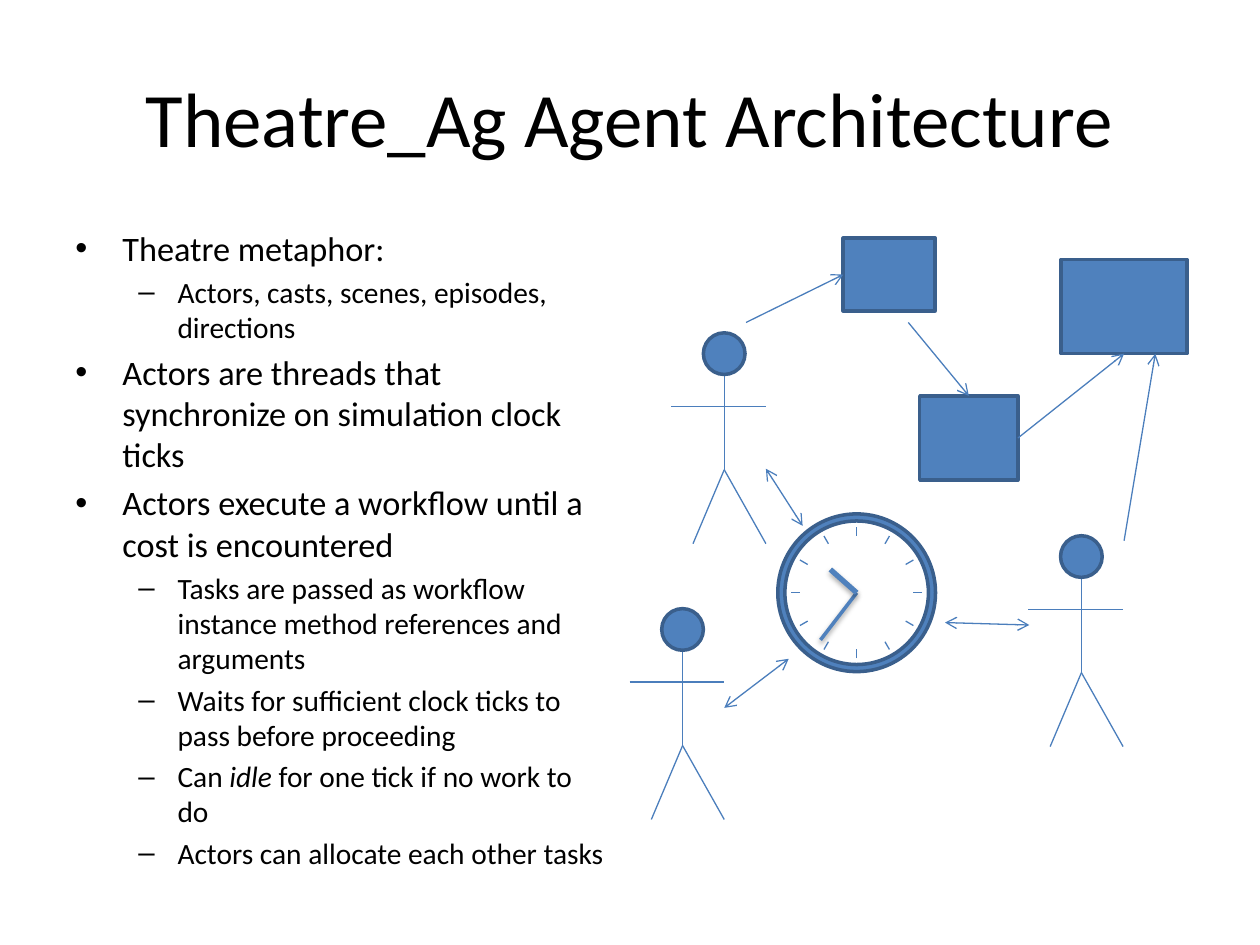
from math import cos, pi, sin

from lxml import etree
from pptx import Presentation
from pptx.dml.color import RGBColor
from pptx.enum.shapes import MSO_CONNECTOR, MSO_SHAPE
from pptx.enum.text import MSO_ANCHOR, PP_ALIGN
from pptx.oxml.ns import qn
from pptx.util import Cm, Pt

STRAIGHT = MSO_CONNECTOR.STRAIGHT
RECTANGLE, OVAL, DONUT = MSO_SHAPE.RECTANGLE, MSO_SHAPE.OVAL, MSO_SHAPE.DONUT
MIDDLE, TOP = MSO_ANCHOR.MIDDLE, MSO_ANCHOR.TOP
CENTER, LEFT = PP_ALIGN.CENTER, PP_ALIGN.LEFT
SIDE_TOP, SIDE_LEFT, SIDE_BOTTOM, SIDE_RIGHT = range(4)

TITLE = "Theatre_Ag Agent Architecture"
POINTS = [
    (0, "Theatre metaphor:"),
    (1, "Actors, casts, scenes, episodes, directions"),
    (0, "Actors are threads that synchronize on simulation clock ticks"),
    (0, "Actors execute a workflow until a cost is encountered"),
    (1, "Tasks are passed as workflow instance method references and arguments"),
    (1, "Waits for sufficient clock ticks to pass before proceeding"),
    (1, "Can *idle *for one tick if no work to do"),
    (1, "Actors can allocate each other tasks"),
]
LEVELS = [("•", 19.6, 0.95, 0.95), ("–", 16.8, 2.06, 0.79)]
ACTORS = [(13.76, 12.27), (21.8, 10.8), (14.6, 6.71)]
TASKS = [(17, 4.8, 1.85, 1.47), (21.39, 5.23, 2.54, 1.9), (18.54, 7.98, 1.98, 1.7)]
CLOCK = (17.27, 11.95)
CLOCK_LINKS = [
    ((20.75, 12.6), (19.05, 12.55)),
    ((15.44, 9.45), (16.18, 10.6)),
    ((14.6, 14.27), (15.9, 13.28)),
]


def colour(code):
    """Turn a hex string into a colour."""
    return RGBColor.from_string(code)


class Stage:
    """Holds the style and the current slide."""

    font, ink = "Calibri", "000000"
    fill, outline, hand_line, thin_line = "4F81BD", "3A5F8C", "4F81BD", "4B7EBC"

    def __init__(self, slide):
        """Keep the slide to draw on."""
        self.slide = slide

    def text_box(self, left, top, width, height, anchor):
        """Add an empty wrapping text box and return its frame."""
        box = self.slide.shapes.add_textbox(Cm(left), Cm(top), Cm(width), Cm(height))
        frame = box.text_frame
        frame.word_wrap = True
        frame.vertical_anchor = anchor
        return frame

    def style_text(self, para, size, align):
        """Format every run of a paragraph."""
        para.alignment = align
        for span in para.runs:
            span.font.name = self.font
            span.font.size = Pt(size)
            span.font.color.rgb = colour(self.ink)

    def title(self, text):
        """Add the slide title."""
        frame = self.text_box(1.27, 0.76, 22.86, 3.18, MIDDLE)
        frame.text = text
        self.style_text(frame.paragraphs[0], 44, CENTER)

    def bullets(self, points):
        """Add the bulleted list, with starred parts in italics."""
        frame = self.text_box(1.27, 4.45, 11.23, 12.57, TOP)
        frame.text = "\n".join(text for _, text in points)
        for para, (level, text) in zip(frame.paragraphs, points):
            mark, size, margin, hang = LEVELS[level]
            first, *others = text.split("*")
            para.text = first
            for number, part in enumerate(others):
                span = para.add_run()
                span.text = part
                span.font.italic = number % 2 == 0
            para.level = level
            para.space_before = Pt(0.2 * size)
            self.style_text(para, size, LEFT)
            properties = para._p.get_or_add_pPr()
            properties.set("marL", str(Cm(margin)))
            properties.set("indent", str(-Cm(hang)))
            etree.SubElement(properties, qn("a:buFont"), typeface="Arial")
            etree.SubElement(properties, qn("a:buChar"), char=mark)

    def shape(self, kind, left, top, width, height):
        """Add a filled and outlined preset shape."""
        shape = self.slide.shapes.add_shape(
            kind, Cm(left), Cm(top), Cm(width), Cm(height))
        shape.shadow.inherit = False
        shape.fill.solid()
        shape.fill.fore_color.rgb = colour(self.fill)
        shape.line.color.rgb = colour(self.outline)
        shape.line.width = Pt(2)
        return shape

    def line(self, start, end, width=0.75, code=thin_line, ends=()):
        """Add a straight line with optional arrowheads."""
        line = self.slide.shapes.add_connector(STRAIGHT, *map(Cm, start + end))
        line.line.color.rgb = colour(code)
        line.line.width = Pt(width)
        for name in ends:
            etree.SubElement(line.line._ln, qn(f"a:{name}"), type="arrow")
        etree.SubElement(line._element.spPr, qn("a:effectLst"))
        return line

    def arrow(self, start, end):
        """Add an arrow between points or (shape, side) pairs."""
        joins = [isinstance(point[0], (int, float)) for point in (start, end)]
        arrow = self.line(start if joins[0] else (0, 0),
                          end if joins[1] else (0, 0), ends=["tailEnd"])
        if not joins[0]:
            arrow.begin_connect(*start)
        if not joins[1]:
            arrow.end_connect(*end)

    def hand(self, tip, width, distance, opacity):
        """Add a clock hand with a soft shadow."""
        hand = self.line(CLOCK, tip, width, self.hand_line)
        effects = hand._element.spPr.find(qn("a:effectLst"))
        shadow = etree.SubElement(
            effects, qn("a:outerShdw"), blurRad=str(Pt(3.1)),
            dist=str(Pt(distance)), dir="5400000", rotWithShape="0")
        black = etree.SubElement(shadow, qn("a:srgbClr"), val="000000")
        etree.SubElement(black, qn("a:alpha"), val=str(opacity * 1000))

    def clock(self):
        """Add the clock with its ring, hour marks and hands."""
        x, y = CLOCK
        ring = self.shape(DONUT, x - 1.59, y - 1.59, 3.18, 3.18)
        ring.adjustments[0] = 0.045
        for hour in range(12):
            across, down = sin(hour * pi / 6), cos(hour * pi / 6)
            inner, outer = ((x + r * across, y - r * down) for r in (1.14, 1.32))
            self.line(outer, inner)
        self.hand((16.54, 12.9), 2, 1.6, 38)
        self.hand((16.74, 11.48), 3, 1.8, 35)

    def actor(self, x, top):
        """Add a stick figure from the top of its head."""
        waist = (x, top + 2.76)
        self.line((x, top + 0.87), waist)
        self.line((x - 1.07, top + 1.48), (x + 0.84, top + 1.48))
        for step in (-0.63, 0.84):
            self.line(waist, (x + step, top + 4.25))
        self.shape(OVAL, x - 0.42, top, 0.84, 0.84)


def main():
    """Build and save the deck."""
    deck = Presentation()
    deck.slide_width, deck.slide_height = Cm(25.4), Cm(19.05)
    stage = Stage(deck.slides.add_slide(deck.slide_layouts[6]))
    stage.title(TITLE)
    stage.bullets(POINTS)
    stage.clock()
    for place in ACTORS:
        stage.actor(*place)
    for start, end in CLOCK_LINKS:
        stage.line(start, end, ends=["headEnd", "tailEnd"])
    first, last, middle = [stage.shape(RECTANGLE, *task) for task in TASKS]
    stage.arrow((15.04, 6.5), (first, SIDE_LEFT))
    stage.arrow((18.31, 6.5), (middle, SIDE_TOP))
    stage.arrow((middle, SIDE_RIGHT), (last, SIDE_BOTTOM))
    stage.arrow((22.66, 10.9), (23.29, 7.13))
    deck.save("out.pptx")


if __name__ == "__main__":
    main()
